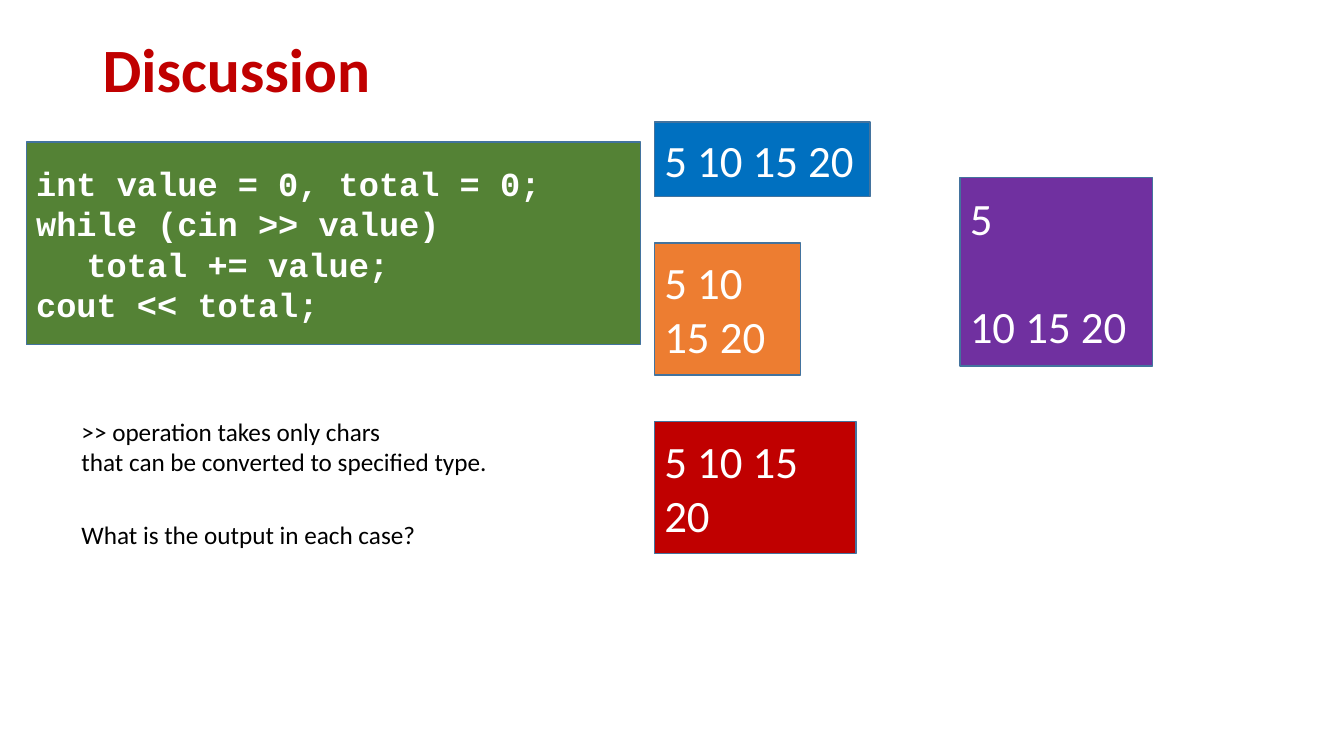
from dataclasses import dataclass

from pptx import Presentation
from pptx.dml.color import RGBColor
from pptx.enum.shapes import MSO_SHAPE
from pptx.enum.text import MSO_ANCHOR, MSO_AUTO_SIZE, PP_ALIGN
from pptx.slide import Slide
from pptx.text.text import TextFrame
from pptx.util import Pt

EMU_PER_PX = 9144  # 100 px to the inch
SLIDE_WIDTH, SLIDE_HEIGHT = 1333, 750

RECTANGLE = MSO_SHAPE.RECTANGLE
MIDDLE, TOP = MSO_ANCHOR.MIDDLE, MSO_ANCHOR.TOP
LEFT = PP_ALIGN.LEFT
FIT_TEXT = MSO_AUTO_SIZE.SHAPE_TO_FIT_TEXT

WHITE = RGBColor(0xFF, 0xFF, 0xFF)
BLACK = RGBColor(0x00, 0x00, 0x00)
RED = RGBColor(0xC0, 0x00, 0x00)
GREEN = RGBColor(0x54, 0x82, 0x35)
ORANGE = RGBColor(0xED, 0x7D, 0x31)
BLUE = RGBColor(0x00, 0x70, 0xC0)
PURPLE = RGBColor(0x70, 0x30, 0xA0)
OUTLINE = RGBColor(0x43, 0x73, 0x9E)

INPUT_LEFT = 649
NOTE_LEFT = 71


@dataclass(frozen=True)
class Style:
    size: int
    color: RGBColor
    font: str = "Calibri"
    bold: bool = False


@dataclass(frozen=True)
class Box:
    left: int
    top: int
    width: int
    height: int
    text: str


@dataclass(frozen=True)
class Panel(Box):
    fill: RGBColor
    style: Style
    line_gap: int = 0  # points before each line after the first


TITLE_STYLE = Style(44, RED, bold=True)
CODE_STYLE = Style(24, WHITE, "Courier New", bold=True)
INPUT_STYLE = Style(32, WHITE)
NOTE_STYLE = Style(18, BLACK)

TITLE = Box(92, 23, 1150, 98, "Discussion")

CODE = "int value = 0, total = 0;\nwhile (cin >> value)\n\ttotal += value;\ncout << total;"

PANELS = [
    Panel(26, 141, 609, 201, CODE, GREEN, CODE_STYLE),
    Panel(INPUT_LEFT, 241, 145, 131, "5 10\n15 20", ORANGE, INPUT_STYLE),
    Panel(INPUT_LEFT, 121, 214, 74, "5 10 15 20", BLUE, INPUT_STYLE),
    Panel(INPUT_LEFT, 418, 200, 131, "5 10 15\n20", RED, INPUT_STYLE),
    Panel(952, 176, 191, 187, "5\n10 15 20", PURPLE, INPUT_STYLE, line_gap=39),
]

NOTES = [
    Box(NOTE_LEFT, 408, 427, 71,
        ">> operation takes only chars \vthat can be converted to specified type."),
    Box(NOTE_LEFT, 510, 356, 40, "What is the output in each case?"),
]


def px(length: int) -> int:
    return length * EMU_PER_PX


def bounds(box: Box) -> tuple[int, int, int, int]:
    return px(box.left), px(box.top), px(box.width), px(box.height)


def write_text(text_frame: TextFrame, text: str, style: Style) -> None:
    text_frame.text = text
    for paragraph in text_frame.paragraphs:
        paragraph.alignment = LEFT
        for run in paragraph.runs:
            run.font.name = style.font
            run.font.size = Pt(style.size)
            run.font.bold = style.bold
            run.font.color.rgb = style.color


def add_title(slide: Slide, box: Box) -> None:
    text_frame = slide.shapes.add_textbox(*bounds(box)).text_frame
    text_frame.word_wrap = True
    text_frame.vertical_anchor = MIDDLE
    write_text(text_frame, box.text, TITLE_STYLE)
    text_frame.paragraphs[0].line_spacing = 0.9


def add_panel(slide: Slide, panel: Panel) -> None:
    shape = slide.shapes.add_shape(RECTANGLE, *bounds(panel))
    shape.shadow.inherit = False
    shape.fill.solid()
    shape.fill.fore_color.rgb = panel.fill
    shape.line.color.rgb = OUTLINE
    shape.line.width = Pt(1)
    text_frame = shape.text_frame
    text_frame.word_wrap = True
    text_frame.vertical_anchor = MIDDLE
    write_text(text_frame, panel.text, panel.style)
    for paragraph in text_frame.paragraphs[1:]:
        paragraph.space_before = Pt(panel.line_gap)


def add_note(slide: Slide, note: Box) -> None:
    text_frame = slide.shapes.add_textbox(*bounds(note)).text_frame
    text_frame.word_wrap = False
    text_frame.auto_size = FIT_TEXT
    text_frame.vertical_anchor = TOP
    write_text(text_frame, note.text, NOTE_STYLE)


def main() -> None:
    presentation = Presentation()
    presentation.slide_width = px(SLIDE_WIDTH)
    presentation.slide_height = px(SLIDE_HEIGHT)
    slide = presentation.slides.add_slide(presentation.slide_layouts[6])

    # Heading
    add_title(slide, TITLE)

    # Code listing and the sample inputs
    for panel in PANELS:
        add_panel(slide, panel)

    # Remarks below the code
    for note in NOTES:
        add_note(slide, note)

    presentation.save("out.pptx")


if __name__ == "__main__":
    main()
